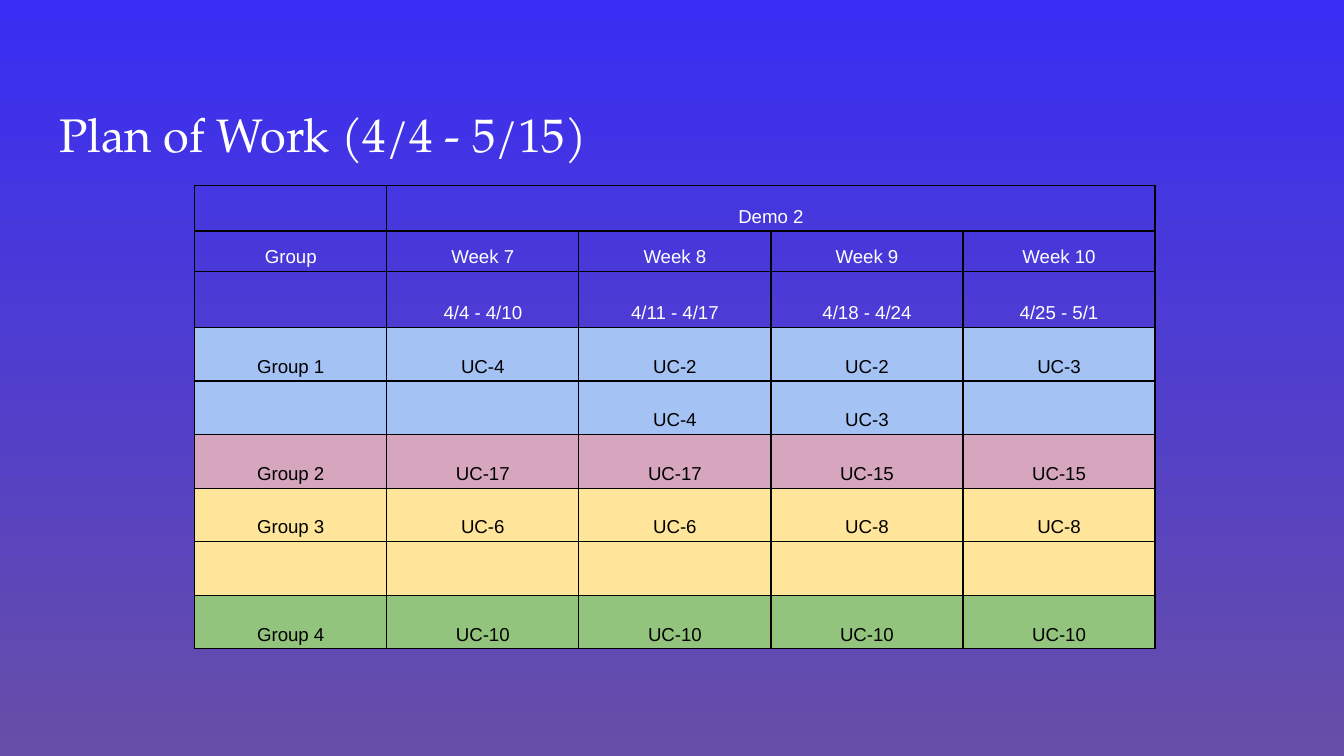
from dataclasses import dataclass

import lxml.etree
import pptx
import pptx.dml.color
import pptx.enum.text
import pptx.oxml.ns
import pptx.table
import pptx.util

Pt = pptx.util.Pt
RGBColor = pptx.dml.color.RGBColor
qn = pptx.oxml.ns.qn

WHITE = RGBColor(0xFF, 0xFF, 0xFF)
BLACK = RGBColor(0x00, 0x00, 0x00)
SKY_TOP = RGBColor(0x39, 0x2E, 0xF3)
SKY_BOTTOM = RGBColor(0x67, 0x4E, 0xA7)
BLUE = RGBColor(0xA4, 0xC2, 0xF4)
PINK = RGBColor(0xD5, 0xA6, 0xBD)
YELLOW = RGBColor(0xFF, 0xE5, 0x99)
GREEN = RGBColor(0x93, 0xC4, 0x7D)

COLUMN_WIDTH = Pt(102.9)
CELL_MARGIN = Pt(2)
BORDER_WIDTH = Pt(0.75)


@dataclass
class PlanRow:
    labels: tuple[str, ...]
    height: float = 28.7
    fill: RGBColor | None = None


PLAN = [
    PlanRow(("", "Demo 2", "", "", ""), 24.6),
    PlanRow(("Group", "Week 7", "Week 8", "Week 9", "Week 10"), 21.7),
    PlanRow(("", "4/4 - 4/10", "4/11 - 4/17", "4/18 - 4/24", "4/25 - 5/1"), 30),
    PlanRow(("Group 1", "UC-4", "UC-2", "UC-2", "UC-3"), fill=BLUE),
    PlanRow(("", "", "UC-4", "UC-3", ""), fill=BLUE),
    PlanRow(("Group 2", "UC-17", "UC-17", "UC-15", "UC-15"), fill=PINK),
    PlanRow(("Group 3", "UC-6", "UC-6", "UC-8", "UC-8"), fill=YELLOW),
    PlanRow(("", "", "", "", ""), fill=YELLOW),
    PlanRow(("Group 4", "UC-10", "UC-10", "UC-10", "UC-10"), fill=GREEN),
]


def add_borders(cell: pptx.table._Cell) -> None:
    properties = cell._tc.get_or_add_tcPr()
    # Border lines must precede the cell's fill
    for position, side in enumerate(("a:lnL", "a:lnR", "a:lnT", "a:lnB")):
        line = lxml.etree.Element(qn(side), w=str(BORDER_WIDTH))
        solid = lxml.etree.SubElement(line, qn("a:solidFill"))
        lxml.etree.SubElement(solid, qn("a:srgbClr"), val=str(BLACK))
        properties.insert(position, line)


def format_cell(cell: pptx.table._Cell, label: str, fill: RGBColor | None) -> None:
    cell.margin_left = cell.margin_right = CELL_MARGIN
    cell.margin_top = cell.margin_bottom = CELL_MARGIN
    cell.vertical_anchor = pptx.enum.text.MSO_ANCHOR.BOTTOM
    if fill is None:
        cell.fill.background()
    else:
        cell.fill.solid()
        cell.fill.fore_color.rgb = fill
    add_borders(cell)

    paragraph = cell.text_frame.paragraphs[0]
    paragraph.alignment = pptx.enum.text.PP_ALIGN.CENTER
    paragraph.font.name = "Arial"
    paragraph.font.size = Pt(10)
    paragraph.font.color.rgb = WHITE if fill is None else BLACK
    if label:
        paragraph.text = label
        paragraph.line_spacing = 1.15


def main() -> None:
    deck = pptx.Presentation()
    deck.slide_width, deck.slide_height = Pt(720), Pt(405)
    slide = deck.slides.add_slide(deck.slide_layouts[5])

    # Background, running from top to bottom
    backdrop = slide.background.fill
    backdrop.gradient()
    backdrop.gradient_angle = 270
    for stop, color in zip(backdrop.gradient_stops, (SKY_TOP, SKY_BOTTOM)):
        stop.color.rgb = color

    # Title
    title = slide.shapes.title
    title.left, title.top = Pt(24.5), Pt(49)
    title.width, title.height = Pt(671), Pt(45.4)
    frame = title.text_frame
    frame.margin_left = frame.margin_right = Pt(7.2)
    frame.margin_top = frame.margin_bottom = Pt(7.2)
    frame.auto_size = pptx.enum.text.MSO_AUTO_SIZE.NONE
    frame.vertical_anchor = pptx.enum.text.MSO_ANCHOR.MIDDLE
    frame.text = "Plan of Work (4/4 - 5/15)"
    heading = frame.paragraphs[0]
    heading.alignment = pptx.enum.text.PP_ALIGN.LEFT
    heading.font.name = "TeX Gyre Pagella"
    heading.font.size = Pt(25.2)
    heading.font.color.rgb = WHITE

    # Work plan
    column_count = len(PLAN[0].labels)
    schedule = slide.shapes.add_table(
        len(PLAN), column_count, Pt(104.3), Pt(99.2),
        COLUMN_WIDTH * column_count, Pt(sum(row.height for row in PLAN)),
    ).table
    schedule.first_row = schedule.horz_banding = False
    for column in schedule.columns:
        column.width = COLUMN_WIDTH
    for row_index, row in enumerate(PLAN):
        schedule.rows[row_index].height = Pt(row.height)
        for column_index, label in enumerate(row.labels):
            format_cell(schedule.cell(row_index, column_index), label, row.fill)
    schedule.cell(0, 1).merge(schedule.cell(0, column_count - 1))

    deck.save("out.pptx")


if __name__ == "__main__":
    main()
